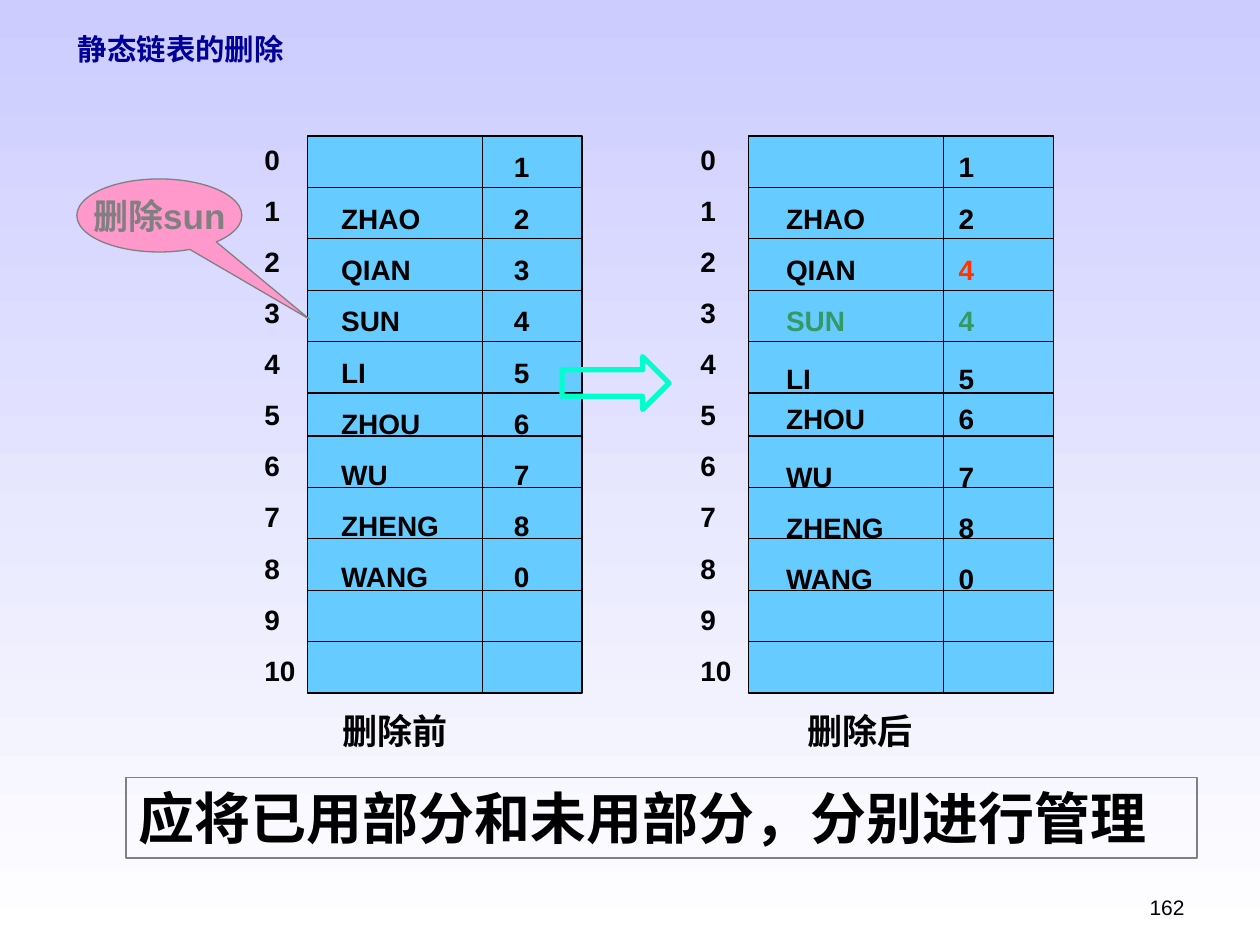
from dataclasses import dataclass
from itertools import accumulate

from lxml import etree
from pptx import Presentation
from pptx.dml.color import RGBColor
from pptx.enum.shapes import MSO_CONNECTOR, MSO_SHAPE
from pptx.enum.text import MSO_ANCHOR, PP_ALIGN
from pptx.oxml.ns import qn
from pptx.util import Inches, Pt

STRAIGHT = MSO_CONNECTOR.STRAIGHT
RECTANGLE = MSO_SHAPE.RECTANGLE
CALLOUT = MSO_SHAPE.OVAL_CALLOUT
ARROW = MSO_SHAPE.RIGHT_ARROW
TOP, MIDDLE, BOTTOM = MSO_ANCHOR.TOP, MSO_ANCHOR.MIDDLE, MSO_ANCHOR.BOTTOM
LEFT, CENTER, RIGHT = PP_ALIGN.LEFT, PP_ALIGN.CENTER, PP_ALIGN.RIGHT

COLORS = {
    "sky": "CCCCFF", "white": "FFFFFF", "title": "000099", "ink": "000000",
    "cell": "66CCFF", "changed": "FF3300", "removed": "339966",
    "callout": "FF99CC", "grey": "808080", "arrow": "00FFCC",
}
CJK_FONT = "Noto Sans CJK SC"
LIST_TOP, LIST_HEIGHT = 1.08, 4.42
SHORT_ROW, SHORT_HEIGHT, ROW_COUNT = 5, 0.34, 11
ROW_HEIGHT = (LIST_HEIGHT - SHORT_HEIGHT) / (ROW_COUNT - 1)
LINK_TAB = 1.37
ROW_GAP = 10


@dataclass(frozen=True)
class Node:
    name: str
    link: str
    name_color: str = "ink"
    link_color: str = "ink"
    spacing: float = 1.0
    gap: float = ROW_GAP


@dataclass(frozen=True)
class LinkedList:
    left: float
    width: float
    divider: float
    index_left: float
    index_width: float
    nodes_left: float
    nodes_width: float
    nodes: tuple[Node, ...]


@dataclass(frozen=True)
class Label:
    text: str
    left: float
    top: float
    width: float
    height: float
    size: float
    font: str = "Arial"
    color: str = "ink"
    bold: bool = True
    align: PP_ALIGN = LEFT
    anchor: MSO_ANCHOR = TOP
    spacing: float = 1.0


BEFORE = LinkedList(2.44, 2.18, 3.83, 2.0, 0.61, 2.61, 1.83, (
    Node("", "1"), Node("ZHAO", "2"), Node("QIAN", "3"), Node("SUN", "4"),
    Node("LI", "5"), Node("ZHOU", "6"), Node("WU", "7"),
    Node("ZHENG", "8"), Node("WANG", "0"),
))
AFTER = LinkedList(5.94, 2.42, 7.49, 5.46, 0.68, 6.14, 2.03, (
    Node("", "1"), Node("ZHAO", "2"),
    Node("QIAN", "4", link_color="changed"),
    Node("SUN", "4", "removed", "removed"),
    Node("LI", "5", spacing=1.2), Node("ZHOU", "6", spacing=1.2, gap=0),
    Node("WU", "7", spacing=1.2), Node("ZHENG", "8"), Node("WANG", "0"),
))
LABELS = (
    Label("162", 7.17, 6.83, 2.33, 0.52, 12, bold=False, align=RIGHT, anchor=BOTTOM),
    Label("静态链表的删除", 0.52, 0.25, 3.98, 0.42, 16.8, "Times New Roman",
          "title", spacing=0.8),
    Label("删除前", 2.62, 5.58, 1.46, 0.44, 20, CJK_FONT),
    Label("删除后", 6.31, 5.58, 1.77, 0.44, 20, CJK_FONT),
)
CALLOUT_LABEL = Label("删除sun", 0.61, 1.42, 1.31, 0.58, 20, color="grey",
                      align=CENTER, anchor=MIDDLE)
CONCLUSION = Label("应将已用部分和未用部分，分别进行管理", 1, 6.17, 8.5, 0.64, 32,
                   "Times New Roman")


def rgb(color: str) -> RGBColor:
    return RGBColor.from_string(COLORS[color])


def add_run(paragraph, text: str, size: float, font="Arial", color="ink", bold=True):
    run = paragraph.add_run()
    run.text = text
    for attribute, value in {"name": font, "size": Pt(size), "bold": bold}.items():
        setattr(run.font, attribute, value)
    run.font.color.rgb = rgb(color)
    etree.SubElement(run._r.get_or_add_rPr(), qn("a:ea"), typeface=CJK_FONT)


def add_frame(slide, left: float, top: float, width: float, height: float):
    box = slide.shapes.add_textbox(*map(Inches, (left, top, width, height)))
    box.text_frame.word_wrap = True
    return box.text_frame


def next_paragraph(frame, index: int, gap: float):
    """Return the first paragraph, or a new one set off by the gap in points."""
    if index == 0:
        return frame.paragraphs[0]
    paragraph = frame.add_paragraph()
    paragraph.space_before = Pt(gap)
    return paragraph


def write_label(frame, label: Label, wrap: bool = True):
    frame.word_wrap = wrap
    frame.vertical_anchor = label.anchor
    paragraph = frame.paragraphs[0]
    paragraph.alignment = label.align
    paragraph.line_spacing = label.spacing
    add_run(paragraph, label.text, label.size, label.font, label.color, label.bold)


def add_shape(slide, kind, left: float, top: float, width: float, height: float,
              line: str, line_width: float = 0.75, fill: str | None = None):
    shape = slide.shapes.add_shape(kind, *map(Inches, (left, top, width, height)))
    shape.shadow.inherit = False
    if fill:
        shape.fill.solid()
        shape.fill.fore_color.rgb = rgb(fill)
    else:
        shape.fill.background()
    shape.line.color.rgb = rgb(line)
    shape.line.width = Pt(line_width)
    return shape


def add_rule(slide, x1: float, y1: float, x2: float, y2: float):
    rule = slide.shapes.add_connector(STRAIGHT, *map(Inches, (x1, y1, x2, y2)))
    rule.line.color.rgb = rgb("ink")
    rule.line.width = Pt(0.75)
    etree.SubElement(rule._element.spPr, qn("a:effectLst"))


def add_node(paragraph, node: Node, is_head: bool):
    """Write the name and link, with a tab stop aligning the links."""
    tabs = etree.SubElement(paragraph._p.get_or_add_pPr(), qn("a:tabLst"))
    etree.SubElement(tabs, qn("a:tab"), pos=str(Inches(LINK_TAB)), algn="l")
    paragraph.line_spacing = node.spacing
    add_run(paragraph, node.name + "\t", 20 if is_head else 16, color=node.name_color)
    add_run(paragraph, node.link, 16, color=node.link_color)


def draw_list(slide, linked: LinkedList):
    right, bottom = linked.left + linked.width, LIST_TOP + LIST_HEIGHT
    add_shape(slide, RECTANGLE, linked.left, LIST_TOP, linked.width, LIST_HEIGHT,
              "ink", fill="cell")
    heights = [SHORT_HEIGHT if row == SHORT_ROW else ROW_HEIGHT
               for row in range(ROW_COUNT - 1)]
    for offset in accumulate(heights):
        add_rule(slide, linked.left, LIST_TOP + offset, right, LIST_TOP + offset)
    add_rule(slide, linked.divider, LIST_TOP, linked.divider, bottom)

    indexes = add_frame(slide, linked.index_left, LIST_TOP, linked.index_width, LIST_HEIGHT)
    for row in range(ROW_COUNT):
        add_run(next_paragraph(indexes, row, ROW_GAP), str(row), 16)
    names = add_frame(slide, linked.nodes_left, LIST_TOP, linked.nodes_width, 3.9)
    for row, node in enumerate(linked.nodes):
        add_node(next_paragraph(names, row, node.gap), node, row == 0)


def main():
    deck = Presentation()
    deck.slide_width, deck.slide_height = Inches(10), Inches(7.5)
    slide = deck.slides.add_slide(deck.slide_layouts[6])
    backdrop = slide.background.fill
    backdrop.gradient()
    backdrop.gradient_angle = 270
    for stop, color in zip(backdrop.gradient_stops, ("sky", "white")):
        stop.color.rgb = rgb(color)

    for linked in (AFTER, BEFORE):
        draw_list(slide, linked)
    for label in LABELS:
        frame = add_frame(slide, label.left, label.top, label.width, label.height)
        write_label(frame, label)

    callout = add_shape(slide, CALLOUT, 0.61, 1.42, 1.31, 0.58, "grey", fill="callout")
    callout.adjustments[0], callout.adjustments[1] = 0.91, 1.42
    write_label(callout.text_frame, CALLOUT_LABEL, wrap=False)
    add_shape(slide, ARROW, 4.46, 2.83, 0.85, 0.42, "arrow", 3)
    conclusion = add_shape(slide, RECTANGLE, 1, 6.17, 8.5, 0.64, "grey")
    write_label(conclusion.text_frame, CONCLUSION)
    deck.save("out.pptx")


if __name__ == "__main__":
    main()
